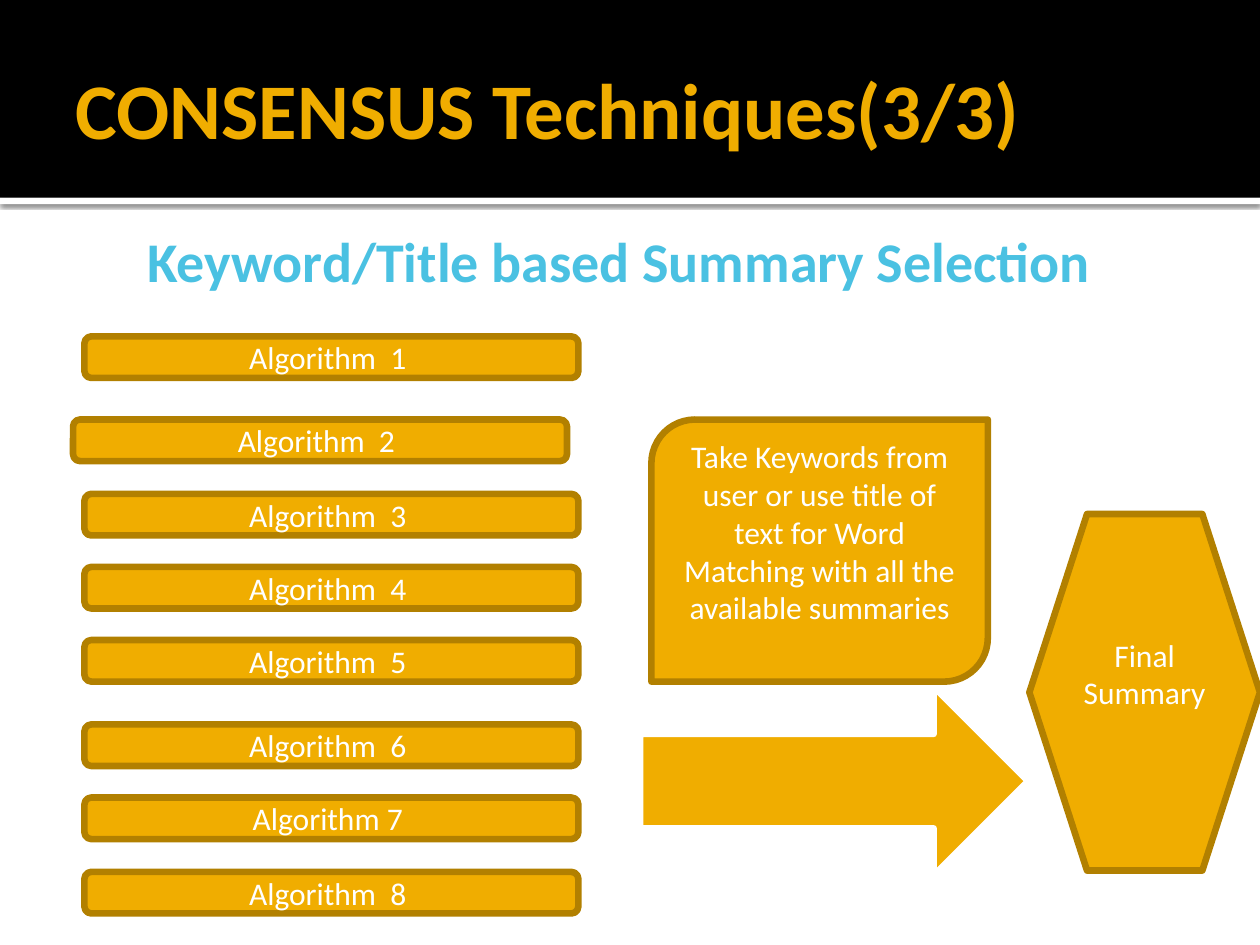
from dataclasses import dataclass
from typing import Optional

from lxml import etree
from pptx import Presentation
from pptx import util as u
from pptx.dml.color import RGBColor
from pptx.enum import shapes, text
from pptx.oxml.ns import qn


@dataclass(frozen=True)
class Theme:
    font: str = "Calibri"
    gold: str = "F0AD00"
    dark_gold: str = "B28000"
    blue: str = "4AC1E2"
    white: str = "FFFFFF"
    black: str = "000000"
    title: float = 45
    subtitle: float = 32
    body: float = 18
    border: float = 3.78


T = Theme()
SHAPE = shapes.MSO_SHAPE


@dataclass(frozen=True)
class Block:
    kind: SHAPE
    left: float
    top: float
    width: float
    height: float
    label: str = ""
    fill: str = T.gold
    line: Optional[str] = T.dark_gold
    bottom_inset: float = 0.05


def write(tf, content: str, *, size: float = T.body, color: str = T.white,
          bold: bool = False, align=text.PP_ALIGN.CENTER,
          anchor=text.MSO_ANCHOR.MIDDLE) -> None:
    tf.word_wrap = True
    tf.vertical_anchor = anchor
    p = tf.paragraphs[0]
    p.alignment = align
    r = p.add_run()
    r.text = content
    r.font.name = T.font
    r.font.size = u.Pt(size)
    r.font.bold = bold
    r.font.color.rgb = RGBColor.from_string(color)


def draw(s, b: Block):
    sp = s.shapes.add_shape(b.kind, u.Inches(b.left), u.Inches(b.top),
                            u.Inches(b.width), u.Inches(b.height))
    sp.shadow.inherit = False
    sp.fill.solid()
    sp.fill.fore_color.rgb = RGBColor.from_string(b.fill)
    if b.line:
        sp.line.color.rgb = RGBColor.from_string(b.line)
        sp.line.width = u.Pt(T.border)
    else:
        sp.line.fill.background()
    if b.label:
        write(sp.text_frame, b.label)
        sp.text_frame.margin_bottom = u.Inches(b.bottom_inset)
    return sp


def add_soft_shadow(sp) -> None:
    """Cast a thin black shadow straight down."""
    effects = sp.element.spPr.find(qn("a:effectLst"))
    shadow = etree.SubElement(effects, qn("a:outerShdw"), blurRad=str(u.Pt(2.5)),
                              dist=str(u.Pt(0.8)), dir="5400000",
                              algn="tl", rotWithShape="0")
    color = etree.SubElement(shadow, qn("a:srgbClr"), val=T.black)
    etree.SubElement(color, qn("a:alpha"), val="60000")


def add_header(s) -> None:
    rule = draw(s, Block(SHAPE.RECTANGLE, 0, 1.57, 10, 0.05, fill=T.white, line=None))
    add_soft_shadow(rule)
    banner = draw(s, Block(SHAPE.RECTANGLE, 0, 0, 10, 1.57, fill=T.black, line=None))

    title = s.shapes.title
    banner.element.addnext(title.element)  # bring the title in front of the banner
    title.left, title.top = u.Inches(0.5), u.Inches(0.17)
    title.width, title.height = u.Inches(9), u.Inches(1.37)
    tf = title.text_frame
    tf.auto_size = text.MSO_AUTO_SIZE.NONE
    tf.margin_left = u.Inches(0.1)
    tf.margin_right = tf.margin_top = tf.margin_bottom = u.Inches(0.05)
    write(tf, "CONSENSUS Techniques(3/3)", size=T.title, color=T.gold,
          bold=True, align=text.PP_ALIGN.LEFT)


def add_algorithms(s) -> None:
    tops = (2.67, 3.33, 3.92, 4.5, 5.08, 5.75, 6.33, 6.92)
    for number, top in enumerate(tops, 1):
        left = 0.58 if number == 2 else 0.67
        gap = " " if number == 7 else "  "
        draw(s, Block(SHAPE.ROUNDED_RECTANGLE, left, top, 3.92, 0.33,
                      f"Algorithm{gap}{number} "))


def add_selection_flow(s) -> None:
    for block in (
        Block(SHAPE.RIGHT_ARROW, 5.08, 5.45, 3.08, 1.5, line=T.white),
        Block(SHAPE.ROUND_2_DIAG_RECTANGLE, 5.17, 3.33, 2.67, 2.08,
              "Take Keywords from user or use title of text for Word "
              "Matching with all the available summaries", bottom_inset=0.35),
        Block(SHAPE.HEXAGON, 8.17, 4.08, 1.83, 2.83, "Final Summary",
              bottom_inset=0.35),
    ):
        draw(s, block)


def add_subtitle(s) -> None:
    box = s.shapes.add_textbox(u.Inches(0.75), u.Inches(1.75),
                               u.Inches(8.33), u.Inches(0.64))
    write(box.text_frame, "Keyword/Title based Summary Selection",
          size=T.subtitle, color=T.blue, bold=True, anchor=text.MSO_ANCHOR.TOP)


def main() -> None:
    prs = Presentation()
    prs.slide_width, prs.slide_height = u.Inches(10), u.Inches(7.5)
    s = prs.slides.add_slide(prs.slide_layouts.get_by_name("Title Only"))
    add_header(s)
    add_algorithms(s)
    add_selection_flow(s)
    add_subtitle(s)
    prs.save("out.pptx")


if __name__ == "__main__":
    main()
